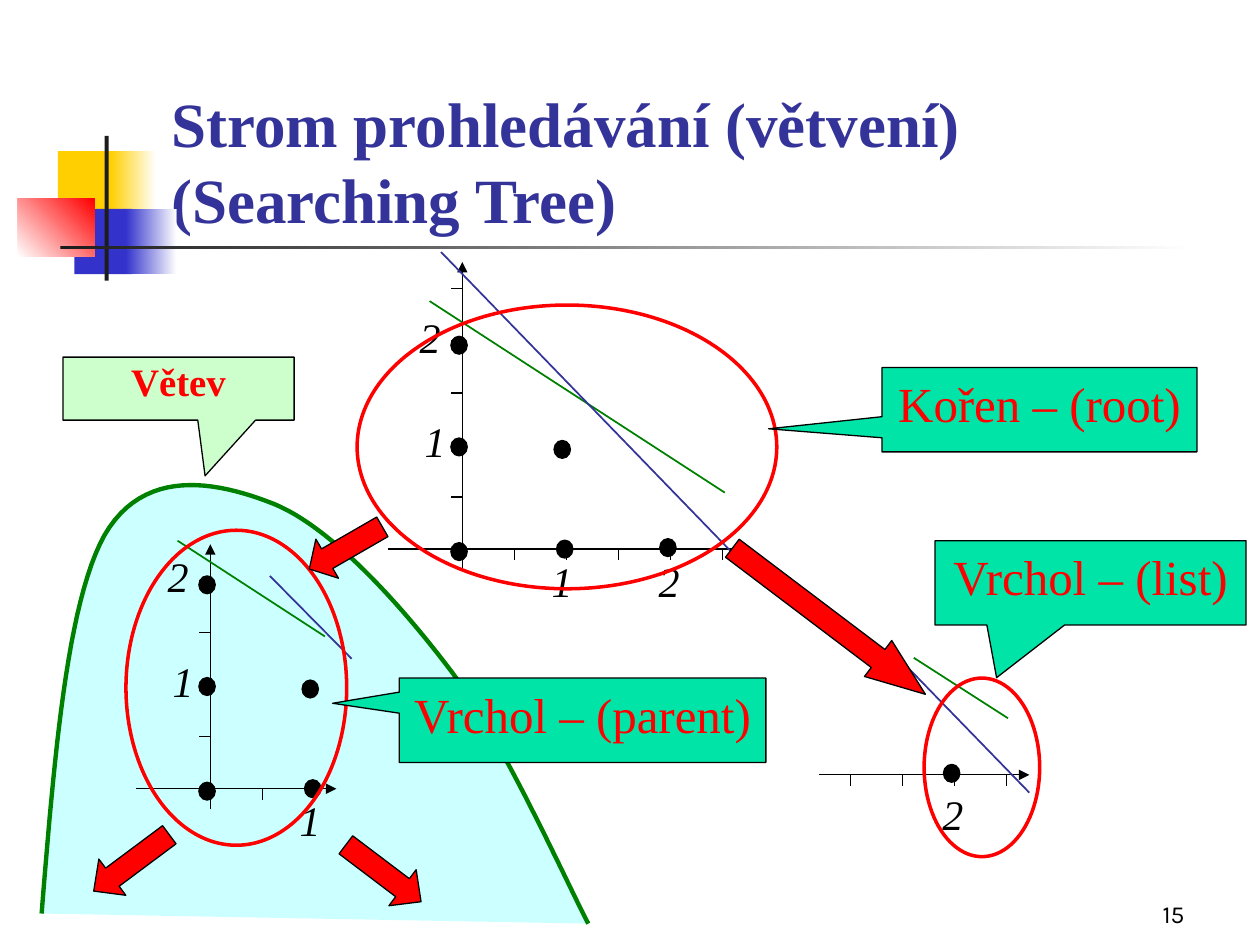
import pptx
import pptx.util
import pptx.dml.color
import pptx.enum.shapes
import pptx.enum.text
import pptx.oxml.ns
import lxml.etree

Cm = pptx.util.Cm
Pt = pptx.util.Pt
RGB = pptx.dml.color.RGBColor
SHAPE = pptx.enum.shapes.MSO_SHAPE
ALIGN = pptx.enum.text.PP_ALIGN
ANCHOR = pptx.enum.text.MSO_ANCHOR

BLACK = RGB(0x00, 0x00, 0x00)
WHITE = RGB(0xFF, 0xFF, 0xFF)
CHARCOAL = RGB(0x1C, 0x1C, 0x1C)
YELLOW = RGB(0xFF, 0xCF, 0x01)
BLUE = RGB(0x33, 0x33, 0xCC)
NAVY = RGB(0x33, 0x33, 0x99)
RED = RGB(0xFF, 0x00, 0x00)
GREEN = RGB(0x00, 0x80, 0x00)
MINT = RGB(0xCC, 0xFF, 0xCC)
TEAL = RGB(0x00, 0xE4, 0xA8)
AQUA = RGB(0xCC, 0xFF, 0xFF)
SERIF = "Times New Roman"

TICK_GAP = 1.05
DOT_OFFSETS = {(0, 0): (-0.06, 0.05), (1, 1): (2.02, -2.01), (0, 1): (-0.06, -2.06),
               (2, 0): (4.15, -0.03), (1, 0): (2.07, 0), (0, 2): (-0.06, -4.11)}
X_LABELS = {1: (2.01, 0.63), 2: (4.17, 0.63)}
Y_LABELS = {1: (-0.55, -2.18), 2: (-0.65, -4.29)}


def add_text(frame, text, size, color, align=ALIGN.CENTER, font=SERIF, bold=False, italic=False):
    """Write one formatted paragraph, with line breaks, and return it."""
    frame.word_wrap = True
    para = frame.paragraphs[0]
    para.alignment = align
    for index, line in enumerate(text.split("\n")):
        if index:
            para.add_line_break()
        span = para.add_run()
        span.text = line
        span.font.name = font
        span.font.size = Pt(size)
        span.font.bold = bold
        span.font.italic = italic
        span.font.color.rgb = color
    return para


def add_shape(page, kind, box, fill=None, line=None, width=0.75):
    """Add a preset shape with a plain fill and outline."""
    shape = page.shapes.add_shape(kind, *map(Cm, box))
    paint(shape, fill, line, width)
    return shape


def paint(shape, fill, line, width):
    """Set the fill and outline of a shape and drop its shadow."""
    shape.shadow.inherit = False
    if fill is None:
        shape.fill.background()
    else:
        shape.fill.solid()
        shape.fill.fore_color.rgb = fill
    if line is None:
        shape.line.fill.background()
    else:
        shape.line.color.rgb = line
        shape.line.width = Pt(width)


def add_line(page, start, end, color=BLACK, width=0.75, arrow=False):
    """Draw a straight line, with an arrowhead at its end if wanted."""
    line = page.shapes.add_connector(pptx.enum.shapes.MSO_CONNECTOR.STRAIGHT,
                                     *map(Cm, (*start, *end)))
    line.line.color.rgb = color
    line.line.width = Pt(width)
    if arrow:
        lxml.etree.SubElement(line.line._get_or_add_ln(),
                              pptx.oxml.ns.qn("a:tailEnd"), type="triangle")
    lxml.etree.SubElement(line._element.spPr, pptx.oxml.ns.qn("a:effectLst"))


def add_fade(page, box, first, last, angle=0):
    """Add a borderless rectangle that fades between two colours."""
    shape = add_shape(page, SHAPE.RECTANGLE, box)
    shape.fill.gradient()
    shape.fill.gradient_angle = angle
    for stop, color, position in zip(shape.fill.gradient_stops, (first, last), (0, 1)):
        stop.color.rgb = color
        stop.position = position


def add_ornament(page, box):
    """Draw the coloured squares, the bar and the rule beside the title."""
    left, top = box[:2]
    add_shape(page, SHAPE.RECTANGLE, (left + 0.81, top + 0.31, 1.22, 1.32), YELLOW)
    add_fade(page, (left + 1.87, top + 0.31, 0.92, 1.32), YELLOW, WHITE)
    add_shape(page, SHAPE.RECTANGLE, (left + 1.14, top + 1.47, 1.17, 1.32), BLUE)
    add_fade(page, (left + 2.18, top + 1.47, 1.02, 1.32), BLUE, WHITE)
    add_fade(page, (left, top + 1.27, 1.55, 1.17), WHITE, RED, 45)
    add_shape(page, SHAPE.RECTANGLE, (left + 1.75, top, 0.08, 2.92), CHARCOAL)
    add_fade(page, (left + 0.86, top + 2.21, 22.86, 0.08), CHARCOAL, WHITE)


def set_title(page, box, text):
    """Place and format the title placeholder."""
    title = page.shapes.title
    title.left, title.top, title.width, title.height = map(Cm, box)
    title.text_frame.vertical_anchor = ANCHOR.BOTTOM
    add_text(title.text_frame, text, 36, NAVY, ALIGN.LEFT, bold=True)


def add_page_number(page, box, text):
    """Place the page number at the bottom right."""
    frame = page.shapes.add_textbox(*map(Cm, box)).text_frame
    frame.vertical_anchor = ANCHOR.BOTTOM
    add_text(frame, text, 14, BLACK, ALIGN.RIGHT, "Karla")


def add_branch(page, box):
    """Draw the curved area that holds the branch."""
    left, top, width, height = box
    curves = [((0, 0.978), (0.023, 0.638), (0.046, 0.298), (0.115, 0.149)),
              ((0.115, 0.149), (0.187, 0), (0.318, 0.03), (0.424, 0.08)),
              ((0.424, 0.08), (0.528, 0.13), (0.654, 0.296), (0.75, 0.448)),
              ((0.75, 0.448), (0.846, 0.602), (0.96, 0.909), (1, 1))]
    points = []
    for curve in curves:
        for step in range(25):
            t = step / 24
            weights = ((1 - t) ** 3, 3 * t * (1 - t) ** 2, 3 * t * t * (1 - t), t ** 3)
            x, y = (sum(w * p[axis] for w, p in zip(weights, curve)) for axis in (0, 1))
            points.append((Cm(left + x * width), Cm(top + y * height)))
    builder = page.shapes.build_freeform(*points[0])
    builder.add_line_segments(points[1:], close=False)
    paint(builder.convert_to_shape(), AQUA, GREEN, 2.5)


def add_plot(page, box, origin, x_ticks, y_ticks, dots, labels, limits, label_drop=0):
    """Draw axes, ticks, labels, lattice points and the two limit lines in a box."""
    left, top, width, height = box
    zero_x, zero_y = left + origin[0], top + origin[1]
    if y_ticks:
        add_line(page, (zero_x, top + height), (zero_x, top), arrow=True)
    add_line(page, (left, zero_y), (left + width, zero_y), arrow=True)
    for step in x_ticks:
        x = zero_x + step * TICK_GAP
        add_line(page, (x, zero_y), (x, zero_y + 0.22))
    for step in y_ticks:
        y = zero_y - step * TICK_GAP
        add_line(page, (zero_x - 0.22, y), (zero_x, y))
    for offsets, numbers in zip((X_LABELS, Y_LABELS), labels):
        for number in numbers:
            x, y = offsets[number]
            label = page.shapes.add_textbox(Cm(zero_x + x - 0.95), Cm(zero_y + y + label_drop - 0.63),
                                            Cm(1.9), Cm(1.27))
            add_text(label.text_frame, str(number), 24, BLACK, italic=True)
    for dot in dots:
        x, y = DOT_OFFSETS[dot]
        add_shape(page, SHAPE.OVAL, (zero_x + x - 0.17, zero_y + y - 0.18, 0.33, 0.36), BLACK, BLACK)
    for color, (x1, y1, x2, y2) in zip((GREEN, NAVY), limits):
        add_line(page, (left + x1, top + y1), (left + x2, top + y2), color, 1)


def add_callout(page, box, tip, text, fill=TEAL, size=28, bold=False):
    """Add a speech box whose tip is given as a share of its size."""
    shape = add_shape(page, SHAPE.RECTANGULAR_CALLOUT, box, fill, BLACK)
    shape.adjustments[0], shape.adjustments[1] = tip
    shape.text_frame.vertical_anchor = ANCHOR.TOP
    return add_text(shape.text_frame, text, size, RED, bold=bold)


def add_arrow(page, box, turn, head):
    """Add a turned red block arrow."""
    shape = add_shape(page, SHAPE.RIGHT_ARROW, box, RED, BLACK)
    shape.adjustments[0], shape.adjustments[1] = 0.5, head
    shape.rotation = turn


def main():
    """Build the slide and save it."""
    deck = pptx.Presentation()
    deck.slide_width, deck.slide_height = Cm(25.4), Cm(19.05)
    page = deck.slides.add_slide(deck.slide_layouts[5])
    add_ornament(page, (0.36, 2.74, 23.72, 2.92))
    set_title(page, (3.2, 1.7, 21.64, 3.18), "Strom prohledávání (větvení)\n(Searching Tree)")
    add_page_number(page, (18.85, 17.58, 5.28, 1.27), "15")
    add_branch(page, (0.84, 9.42, 11.02, 9.2))
    add_callout(page, (1.27, 7.2, 4.66, 1.27), (0.115, 1.385), "Větev", MINT, 22.2, True).line_spacing = 0.9
    add_plot(page, (7.82, 5.28, 7.22, 6.2), (1.5, 5.79), range(1, 6), range(1, 6),
             DOT_OFFSETS, ((1, 2), (1, 2)), ((0.84, 0.79, 6.79, 4.65), (1.07, -0.2, 7.22, 6.15)))
    add_plot(page, (2.74, 10.97, 4.04, 5.34), (1.5, 4.93), range(1, 3), range(1, 5),
             [dot for dot in DOT_OFFSETS if dot != (2, 0)], ((1,), (1, 2)),
             ((0.84, -0.07, 3.81, 1.86), (2.7, 0.64, 4.35, 2.31)))
    add_plot(page, (16.51, 15.62, 4.24, 0), (-1.47, 0), range(2, 6), (), [(2, 0)], ((2,), ()),
             ((1.91, -2.36, 3.81, -1.14), (1.57, -2.39, 4.24, 0.36)), 0.15)
    for ring in ((7.2, 6.15, 8.46, 5.72), (2.54, 10.69, 4.45, 6.35), (18.63, 13.67, 2.33, 3.6)):
        add_shape(page, SHAPE.OVAL, ring, None, RED, 2)
    add_callout(page, (17.78, 7.41, 6.35, 1.7), (-0.86, 0.227), "Kořen – (root)")
    add_callout(page, (8.05, 13.67, 7.39, 1.7), (-0.682, -0.201), "Vrchol – (parent)")
    add_callout(page, (18.85, 10.9, 6.27, 1.7), (-0.302, 1.125), "Vrchol – (list)")
    add_arrow(page, (1.7, 16.94, 1.9, 0.91), 143.3, 0.514)
    add_arrow(page, (6.78, 17.15, 1.9, 0.91), 37.1, 0.514)
    add_arrow(page, (6.12, 10.59, 1.7, 0.91), 150, 0.457)
    add_arrow(page, (14.27, 12.07, 4.88, 0.91), 37.1, 1.314)
    deck.save("out.pptx")


if __name__ == "__main__":
    main()
